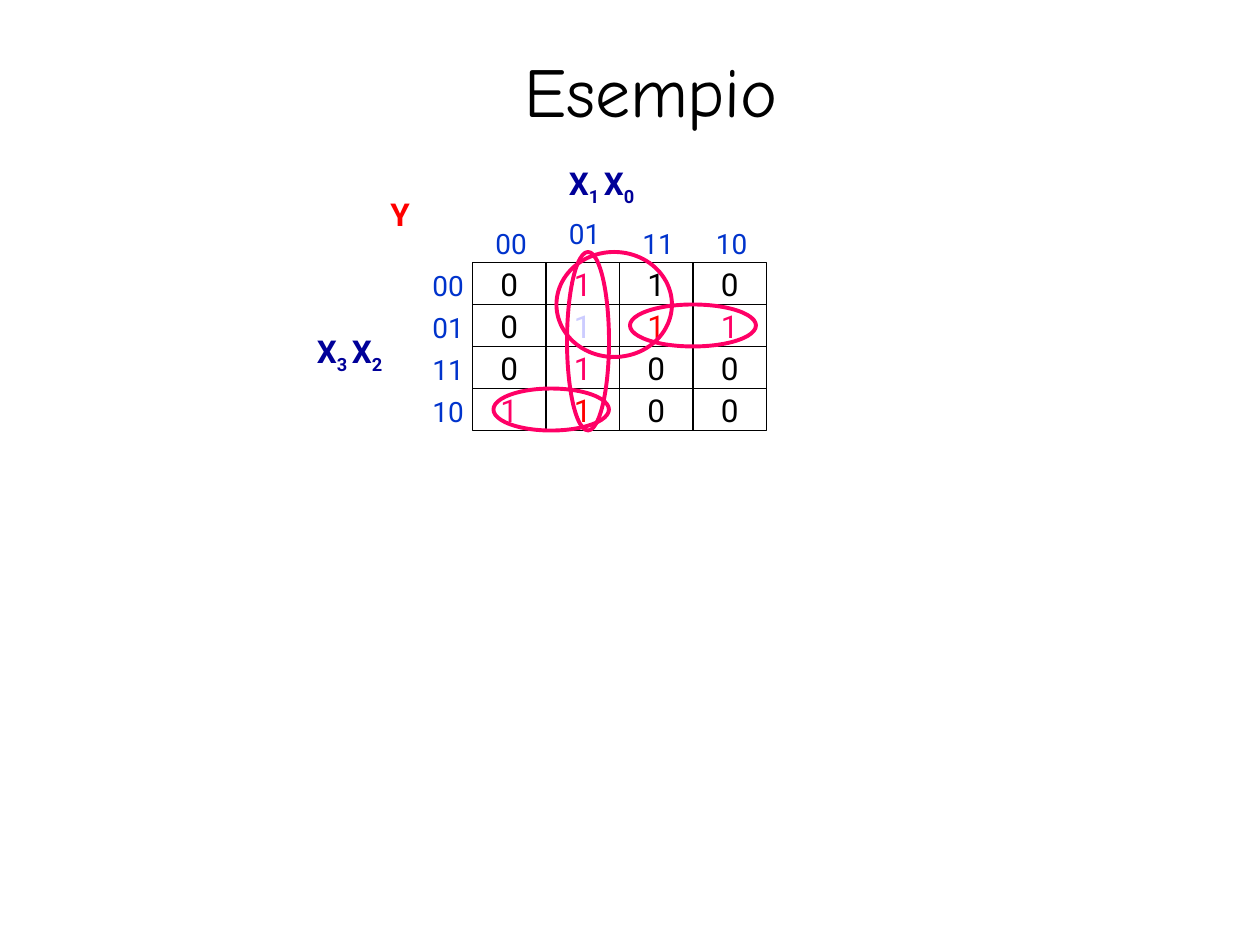
"""Build a slide with a four-variable Karnaugh map and its groupings."""
from pptx import Presentation
from pptx import util as u
from pptx.dml.color import RGBColor
from pptx.enum import shapes, text

BLACK = RGBColor(0x00, 0x00, 0x00)
RED = RGBColor(0xFF, 0x00, 0x00)
PINK = RGBColor(0xFF, 0x00, 0x66)
LILAC = RGBColor(0xCC, 0xCC, 0xFF)
BLUE = RGBColor(0x00, 0x33, 0xCC)
NAVY = RGBColor(0x00, 0x00, 0x99)

TITLE_FONT, BODY_FONT = "Comic Neue", "Roboto"
UNIT = u.Inches(1) / 12
LEFT, TOP, CELL_WIDTH, CELL_HEIGHT = 45, 25, 7, 4

GRAY_CODE = ["00", "01", "11", "10"]
VALUES = ["0110", "0111", "0100", "1100"]
ONE_COLORS = {
    (0, 1): PINK, (1, 1): LILAC, (1, 2): RED, (1, 3): PINK,
    (2, 1): PINK, (3, 0): PINK, (3, 1): RED,
}
GROUPS = [(47, 37, 11, 4), (54, 24, 4, 17), (60, 29, 12, 4), (53, 24, 11, 10)]


def place(*lengths):
    """Convert grid units to slide lengths."""
    return [u.Emu(round(length * UNIT)) for length in lengths]


def style(para, size, color, name=BODY_FONT, bold=False):
    """Set the font of a whole paragraph."""
    font = para.font
    font.name, font.size, font.bold = name, u.Pt(size), bold
    font.color.rgb = color


def add_title(page, words):
    """Fill and move the title placeholder."""
    title = page.shapes.title
    title.left, title.top, title.width, title.height = place(12, 4, 100, 9)
    frame = title.text_frame
    frame.text = words
    frame.auto_size = text.MSO_AUTO_SIZE.NONE
    frame.vertical_anchor = text.MSO_ANCHOR.MIDDLE
    frame.paragraphs[0].alignment = text.PP_ALIGN.CENTER
    style(frame.paragraphs[0], 40, BLACK, TITLE_FONT)


def add_outline(page, kind, bounds, color, weight):
    """Add an unfilled shape with a coloured outline."""
    shape = page.shapes.add_shape(kind, *place(*bounds))
    shape.shadow.inherit = False
    shape.fill.background()
    shape.line.color.rgb = color
    shape.line.width = u.Pt(weight)
    return shape


def add_cell(page, row, column, value):
    """Add one cell of the map."""
    bounds = (LEFT + column * CELL_WIDTH, TOP + row * CELL_HEIGHT, CELL_WIDTH, CELL_HEIGHT)
    cell = add_outline(page, shapes.MSO_SHAPE.RECTANGLE, bounds, BLACK, 0.75)
    frame = cell.text_frame
    frame.text = value
    frame.word_wrap = False
    frame.vertical_anchor = text.MSO_ANCHOR.MIDDLE
    frame.paragraphs[0].alignment = text.PP_ALIGN.CENTER
    style(frame.paragraphs[0], 18, ONE_COLORS.get((row, column), BLACK))


def add_label(page, bounds, words, size, color, bold=False, wrap=True):
    """Add a text box and return its paragraph."""
    box = page.shapes.add_textbox(*place(*bounds))
    frame = box.text_frame
    frame.word_wrap = wrap
    frame.auto_size = text.MSO_AUTO_SIZE.SHAPE_TO_FIT_TEXT
    para = frame.paragraphs[0]
    para.text = words
    style(para, size, color, bold=bold)
    return para


def add_code(page, left, top, code):
    """Add a row or column code beside the map."""
    add_label(page, (left, top, 5.4, 4.4), code, 16, BLUE, wrap=False)


def add_variables(page, bounds, first, second):
    """Add a pair of X variables with subscript indices."""
    para = add_label(page, bounds, "", 18, NAVY, bold=True)
    for index in (first + " ", second):
        para.add_run().text = "X"
        span = para.add_run()
        span.text = index
        span.font._element.set("baseline", "-25000")


def main():
    """Compose and save the slide."""
    deck = Presentation()
    deck.slide_width, deck.slide_height = u.Inches(10), u.Inches(7.5)
    page = deck.slides.add_slide(deck.slide_layouts[5])
    add_title(page, "Esempio")
    for row, values in enumerate(VALUES):
        for column, value in enumerate(values):
            add_cell(page, row, column, value)
    for index, code in enumerate(GRAY_CODE):
        add_code(page, LEFT - 5, TOP + index * CELL_HEIGHT, code)
        raised = 1 if code == "01" else 0
        add_code(page, LEFT + 1 + index * CELL_WIDTH, TOP - 4 - raised, code)
    add_label(page, (36, 18, 6, 4.8), "Y", 18, RED, bold=True)
    add_variables(page, (29, 31, 11, 5.3), "3", "2")
    add_variables(page, (53, 15, 12, 5.3), "1", "0")
    for bounds in GROUPS:
        add_outline(page, shapes.MSO_SHAPE.OVAL, bounds, PINK, 2.25)
    deck.save("out.pptx")


if __name__ == "__main__":
    main()
